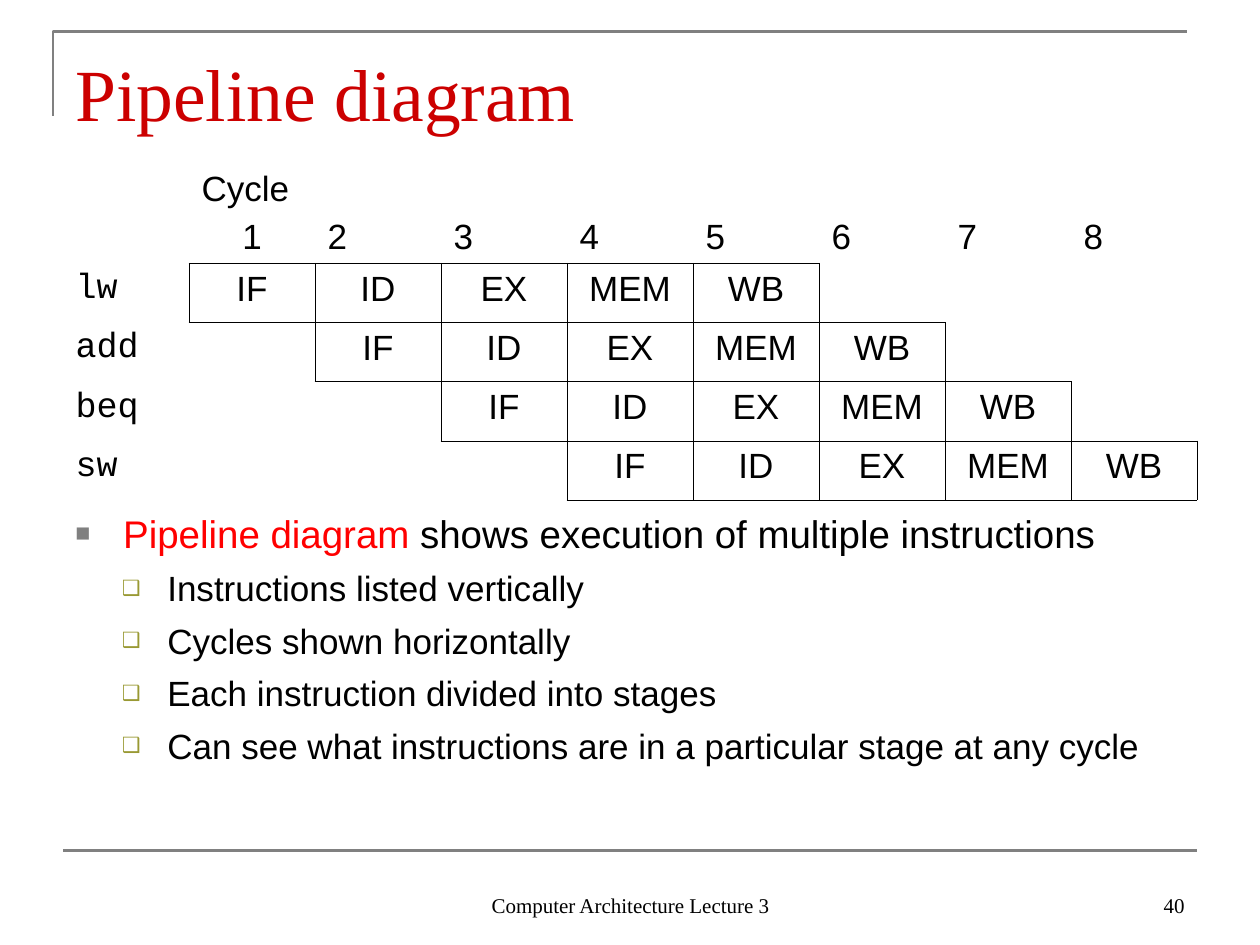
from lxml import etree
from pptx import Presentation
from pptx.dml.color import RGBColor
from pptx.enum.shapes import MSO_CONNECTOR
from pptx.enum.text import MSO_ANCHOR, PP_ALIGN
from pptx.oxml.ns import qn
from pptx.util import Inches, Pt

LEFT, CENTER, RIGHT = PP_ALIGN.LEFT, PP_ALIGN.CENTER, PP_ALIGN.RIGHT
TOP, BOTTOM = MSO_ANCHOR.TOP, MSO_ANCHOR.BOTTOM
STRAIGHT = MSO_CONNECTOR.STRAIGHT
SANS, SERIF, MONO = "Arial", "Times New Roman", "Courier New"
BLACK, GRAY, RED, BRIGHT_RED, OLIVE = "000000", "808080", "CC0000", "FF0000", "999933"
PLAIN_TABLE = "{2D5ABB26-0587-4C30-8999-92F81FD0307C}"
STAGES = ["IF", "ID", "EX", "MEM", "WB"]
INSTRUCTIONS = ["lw", "add", "beq", "sw"]
CYCLES = 8
POINTS = [
    "Instructions listed vertically",
    "Cycles shown horizontally",
    "Each instruction divided into stages",
    "Can see what instructions are in a particular stage at any cycle",
]


def rgb(value):
    """Turn a hex string into a colour."""
    return RGBColor.from_string(value)


def add_run(p, text, size, font=SANS, color=BLACK):
    """Add one formatted run to a paragraph."""
    r = p.add_run()
    r.text = text
    r.font.size = Pt(size)
    r.font.name = font
    r.font.color.rgb = rgb(color)


def add_text_box(s, left, top, width, height, anchor=TOP):
    """Add an empty wrapping text box and return its text frame."""
    tf = s.shapes.add_textbox(Inches(left), Inches(top), Inches(width), Inches(height)).text_frame
    tf.word_wrap = True
    tf.vertical_anchor = anchor
    return tf


def add_label(s, text, left, top, width, height, size, color=BLACK, align=LEFT):
    """Add a bottom-anchored serif line of text."""
    tf = add_text_box(s, left, top, width, height, BOTTOM)
    p = tf.paragraphs[0]
    p.alignment = align
    add_run(p, text, size, SERIF, color)
    return tf


def style_line(line):
    """Apply the gray rule style."""
    line.color.rgb = rgb(GRAY)
    line.width = Pt(1.5)


def add_title_corner(s):
    """Draw the open corner above and left of the title."""
    builder = s.shapes.build_freeform(Inches(0.42), Inches(0.92))
    builder.add_line_segments(
        [(Inches(0.42), Inches(0.25)), (Inches(9.42), Inches(0.25))], close=False
    )
    sp = builder.convert_to_shape()
    sp.shadow.inherit = False
    sp.fill.background()
    style_line(sp.line)


def add_footer_rule(s):
    """Draw the line above the footer."""
    sp = s.shapes.add_connector(STRAIGHT, Inches(0.5), Inches(6.75), Inches(9.5), Inches(6.75))
    style_line(sp.line)
    etree.SubElement(sp._element.spPr, qn("a:effectLst"))


def add_borders(cell):
    """Give a cell thin black borders on all sides."""
    tc_pr = cell._tc.get_or_add_tcPr()
    for side in ("lnL", "lnR", "lnT", "lnB"):
        ln = etree.SubElement(tc_pr, qn(f"a:{side}"), w=str(Pt(0.45)))
        fill = etree.SubElement(ln, qn("a:solidFill"))
        etree.SubElement(fill, qn("a:srgbClr"), val=BLACK)


def fill_cell(cell, text, font=SANS, align=LEFT, anchor=TOP):
    """Write one line into a table cell."""
    cell.vertical_anchor = anchor
    p = cell.text_frame.paragraphs[0]
    p.alignment = align
    add_run(p, text, 20, font)


def add_pipeline_table(s):
    """Add the table of stages by instruction and cycle."""
    rows, cols = len(INSTRUCTIONS) + 1, CYCLES + 1
    frame = s.shapes.add_table(
        rows, cols, Inches(0.5), Inches(1.25), Inches(cols), Inches(0.84 + 0.47 * (rows - 1))
    )
    table = frame.table
    table.first_row = table.horz_banding = False
    table._tbl.tblPr.find(qn("a:tableStyleId")).text = PLAIN_TABLE
    for i, row in enumerate(table.rows):
        row.height = Inches(0.47 if i else 0.84)

    first = table.cell(0, 1)
    fill_cell(first, "Cycle", anchor=BOTTOM)
    p = first.text_frame.add_paragraph()
    p.alignment = CENTER
    p.space_before = Pt(5)
    add_run(p, "1", 20)
    for cycle in range(2, CYCLES + 1):
        fill_cell(table.cell(0, cycle), str(cycle), anchor=BOTTOM)

    for i, name in enumerate(INSTRUCTIONS, 1):
        fill_cell(table.cell(i, 0), name, MONO)
        for j, stage in enumerate(STAGES, i):
            cell = table.cell(i, j)
            fill_cell(cell, stage, align=CENTER)
            add_borders(cell)
    for cell in table.iter_cells():
        cell.fill.background()


def set_bullet(p, char, color, percent, margin, indent):
    """Give a paragraph a coloured bullet and hanging indent."""
    p_pr = p._p.get_or_add_pPr()
    p_pr.set("marL", str(Inches(margin)))
    p_pr.set("indent", str(Inches(indent)))
    bu_clr = etree.SubElement(p_pr, qn("a:buClr"))
    etree.SubElement(bu_clr, qn("a:srgbClr"), val=color)
    etree.SubElement(p_pr, qn("a:buSzPct"), val=str(percent * 1000))
    etree.SubElement(p_pr, qn("a:buFont"), typeface=SANS)
    etree.SubElement(p_pr, qn("a:buChar"), char=char)


def add_explanation(s):
    """Add the bulleted explanation under the table."""
    tf = add_text_box(s, 0.5, 4, 9, 2.7)
    p = tf.paragraphs[0]
    set_bullet(p, "■", GRAY, 65, 0.38, -0.38)
    add_run(p, "Pipeline diagram", 22, color=BRIGHT_RED)
    add_run(p, " shows execution of multiple instructions", 22)
    for text in POINTS:
        p = tf.add_paragraph()
        p.level = 1
        set_bullet(p, "❑", OLIVE, 60, 0.73, -0.36)
        p.space_before = Pt(6)
        add_run(p, text, 20)


def main():
    """Build and save the slide."""
    prs = Presentation()
    prs.slide_width, prs.slide_height = Inches(10), Inches(7.5)
    s = prs.slides.add_slide(prs.slide_layouts[6])
    add_title_corner(s)
    add_footer_rule(s)
    add_label(s, "Computer Architecture Lecture 3", 3.42, 6.83, 3.17, 0.5, 12, align=CENTER)
    add_label(s, "40", 7.17, 6.83, 2.33, 0.5, 12, align=RIGHT)
    title = add_label(s, "Pipeline diagram", 0.5, 0.3, 9, 0.78, 42, RED)
    title.margin_bottom = 0
    add_pipeline_table(s)
    add_explanation(s)
    prs.save("out.pptx")


if __name__ == "__main__":
    main()
